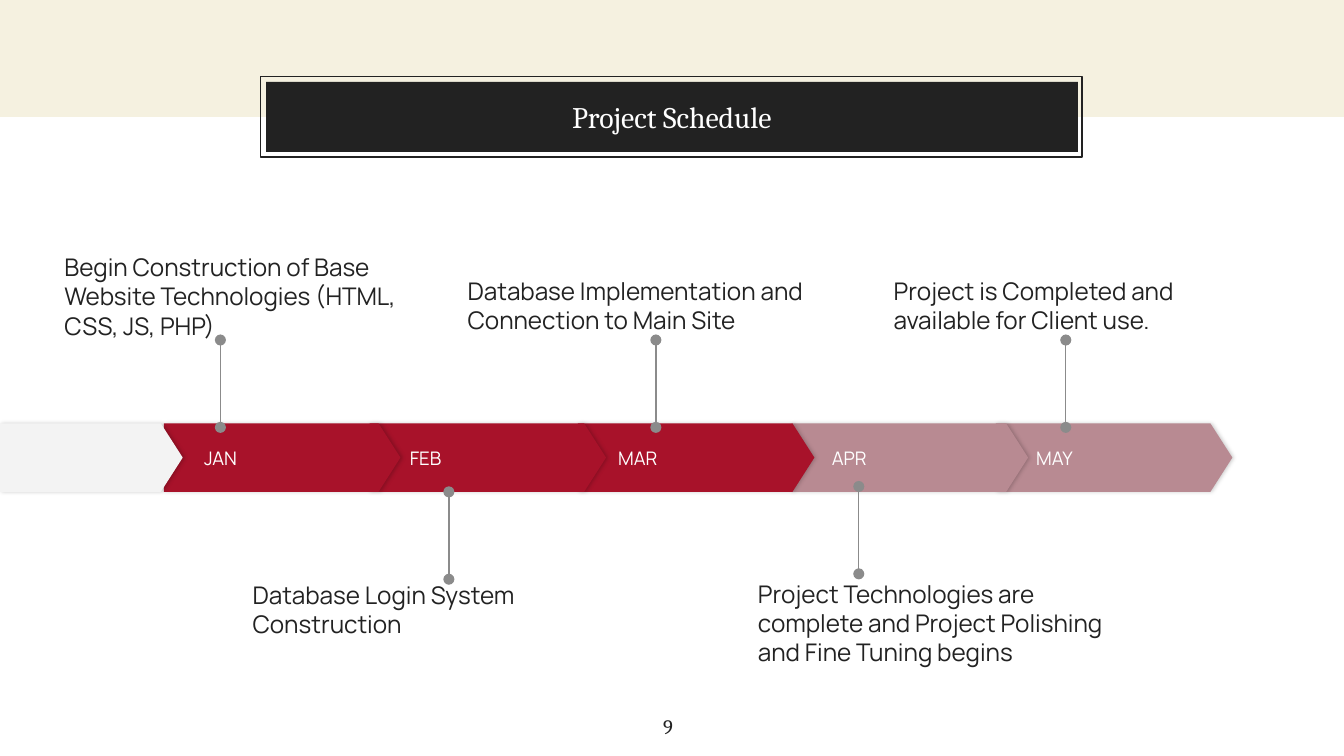
"""Builds a project schedule slide with a five-month arrow timeline."""
from lxml import etree
from pptx import Presentation
from pptx.dml.color import RGBColor
from pptx.enum.shapes import MSO_CONNECTOR, MSO_SHAPE
from pptx.enum.text import MSO_ANCHOR, PP_ALIGN
from pptx.oxml import parse_xml
from pptx.oxml.ns import nsdecls, qn
from pptx.util import Inches, Pt

RECTANGLE, PENTAGON = MSO_SHAPE.RECTANGLE, MSO_SHAPE.PENTAGON
STRAIGHT = MSO_CONNECTOR.STRAIGHT
TOP, MIDDLE, BOTTOM = MSO_ANCHOR.TOP, MSO_ANCHOR.MIDDLE, MSO_ANCHOR.BOTTOM
LEFT, CENTER = PP_ALIGN.LEFT, PP_ALIGN.CENTER
INK, WHITE, CREAM, GREY = "222222", "FFFFFF", "F5F1E0", "8B8B8B"
RED, ROSE, PALE = "A8122A", "B88A92", "F3F3F3"
ARROW_TOP, ARROW_HEIGHT, ARROW_WIDTH = 3.15, 0.51, 1.76
SHADOW = (
    f'<a:effectLst {nsdecls("a")}><a:outerShdw blurRad="27940" dist="10160" dir="0">'
    '<a:srgbClr val="000000"><a:alpha val="20000"/></a:srgbClr>'
    "</a:outerShdw></a:effectLst>"
)


def color(hex_code):
    return RGBColor.from_string(hex_code)


def write(shape, text, size=13, font="Manrope", ink=INK, align=LEFT,
          anchor=TOP, margin=0, left_margin=0):
    frame = shape.text_frame
    frame.word_wrap = True
    frame.vertical_anchor = anchor
    frame.margin_left = Inches(left_margin or margin)
    frame.margin_right = frame.margin_top = frame.margin_bottom = Inches(margin)
    para = frame.paragraphs[0]
    para.alignment = align
    span = para.add_run()
    span.text = text
    span.font.size = Pt(size)
    span.font.name = font
    span.font.color.rgb = color(ink)


deck = Presentation()
deck.slide_width, deck.slide_height = Inches(10), Inches(10 * 9 / 16)
page = deck.slides.add_slide(deck.slide_layouts[5])
shapes = page.shapes

band = shapes.add_shape(RECTANGLE, 0, 0, Inches(10), Inches(0.87))
band.shadow.inherit = False
band.fill.solid()
band.fill.fore_color.rgb = color(CREAM)
band.line.fill.background()

title_frame = shapes.add_shape(
    RECTANGLE, Inches(1.94), Inches(0.57), Inches(6.11), Inches(0.6))
title_frame.shadow.inherit = False
title_frame.fill.background()
title_frame.line.color.rgb = color(INK)
title_frame.line.width = Pt(0.75)

title = shapes.title
title.left, title.top = Inches(1.98), Inches(0.61)
title.width, title.height = Inches(6.04), Inches(0.52)
title.fill.solid()
title.fill.fore_color.rgb = color(INK)
write(title, "Project Schedule", size=16, font="Cambria", ink=WHITE,
      align=CENTER, anchor=MIDDLE, margin=0.1)
title_frame._element.addnext(title._element)

page_number = shapes.add_textbox(
    Inches(4.39), Inches(5.22), Inches(1.16), Inches(0.33))
write(page_number, "9", size=11, font="Cambria", align=CENTER, margin=0.1)

arrows = [
    ("MAY", 7.41, ARROW_WIDTH, ROSE),
    ("APR", 5.89, ARROW_WIDTH, ROSE),
    ("MAR", 4.3, ARROW_WIDTH, RED),
    ("FEB", 2.75, ARROW_WIDTH, RED),
    ("JAN", 1.22, ARROW_WIDTH, RED),
    ("", 0, 1.36, PALE),
]
for month, left, width, fill in arrows:
    arrow = shapes.add_shape(PENTAGON, Inches(left), Inches(ARROW_TOP),
                             Inches(width), Inches(ARROW_HEIGHT))
    arrow.adjustments[0] = 0.32
    arrow.fill.solid()
    arrow.fill.fore_color.rgb = color(fill)
    arrow.line.fill.background()
    arrow._element.spPr.append(parse_xml(SHADOW))
    if month:
        write(arrow, month, size=10, ink=WHITE, anchor=MIDDLE, left_margin=0.3)

milestones = [
    ("Begin Construction of Base Website Technologies (HTML, CSS, JS, PHP)",
     0.48, 1.83, BOTTOM, 1.64, 3.18),
    ("Database Implementation and Connection to Main Site",
     3.48, 1.79, BOTTOM, 4.88, 3.18),
    ("Project is Completed and available for Client use.",
     6.65, 1.79, BOTTOM, 7.93, 3.18),
    ("Database Login System Construction", 1.88, 4.32, TOP, 3.34, 4.31),
    ("Project Technologies are complete and Project Polishing and Fine Tuning begins",
     5.64, 4.31, TOP, 6.39, 4.27),
]
for text, left, top, anchor, pin_x, pin_bottom in milestones:
    pin = shapes.add_connector(STRAIGHT, Inches(pin_x), Inches(pin_bottom),
                               Inches(pin_x), Inches(pin_bottom - 0.65))
    pin.line.color.rgb = color(GREY)
    pin.line.width = Pt(0.75)
    for end in ("a:headEnd", "a:tailEnd"):
        etree.SubElement(pin.line._get_or_add_ln(), qn(end), type="oval")
    etree.SubElement(pin._element.spPr, qn("a:effectLst"))
    label = shapes.add_textbox(
        Inches(left), Inches(top), Inches(2.67), Inches(0.7))
    write(label, text, anchor=anchor)

deck.save("out.pptx")
